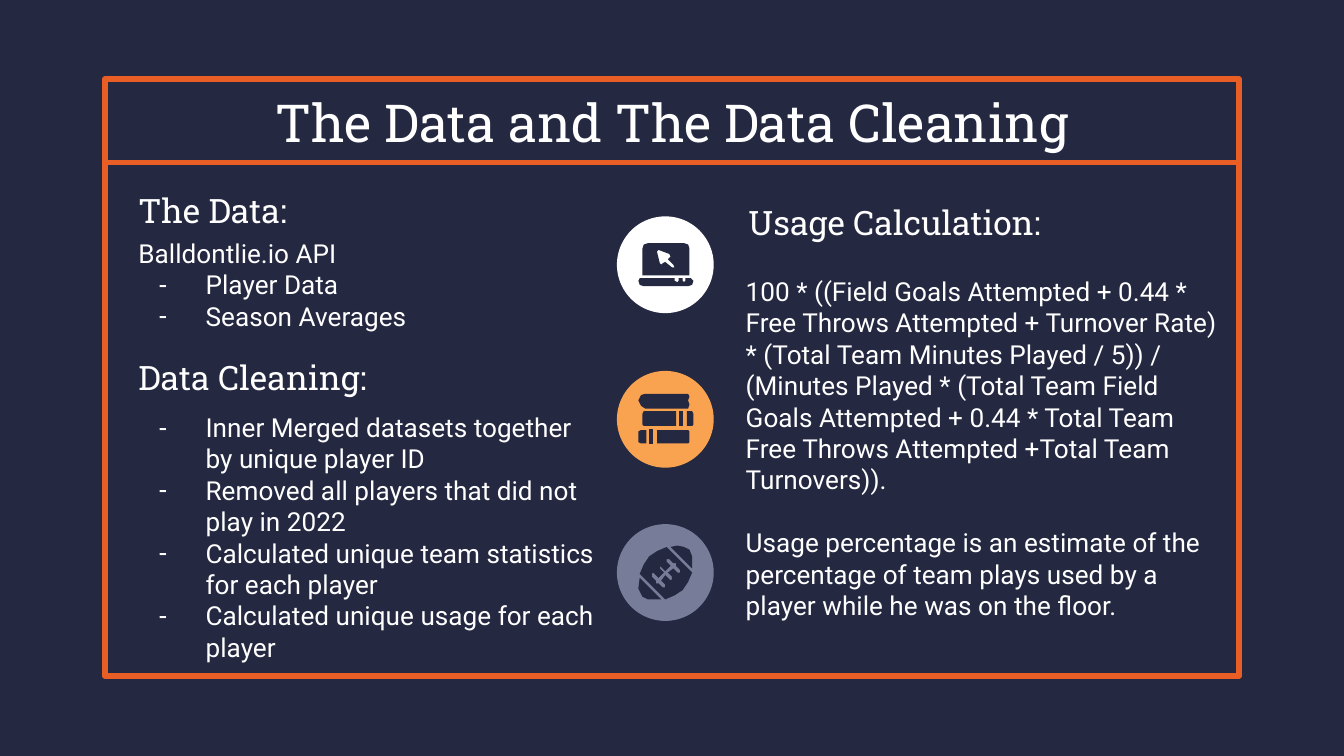
"""Build the slide on the data, its cleaning and the usage formula."""
import pptx
import pptx.dml.color
import pptx.enum.shapes
import pptx.enum.text
import pptx.oxml
import pptx.oxml.ns
import pptx.util

PX = 9144
THEME = {
    "navy": "242841", "orange": "E95E24", "white": "FFFFFF",
    "amber": "F9A350", "slate": "777D99",
    "title": ("Roboto Slab", 28), "head": ("Roboto Slab", 18),
    "body": ("Roboto", 14),
}


def paint(fill, name):
    fill.solid()
    fill.fore_color.rgb = pptx.dml.color.RGBColor.from_string(THEME[name])


def write(shape, box, style, lines, gap=0, after=0):
    shape.left, shape.top, shape.width, shape.height = [n * PX for n in box]
    frame = shape.text_frame
    frame.auto_size = pptx.enum.text.MSO_AUTO_SIZE.NONE
    frame.word_wrap = True
    frame.vertical_anchor = pptx.enum.text.MSO_ANCHOR.MIDDLE
    frame.margin_left = frame.margin_right = 10 * PX
    frame.margin_top = frame.margin_bottom = 10 * PX
    for i, line in enumerate(lines):
        para = frame.add_paragraph() if i else frame.paragraphs[0]
        center = style == "title"
        para.alignment = pptx.enum.text.PP_ALIGN.CENTER if center else pptx.enum.text.PP_ALIGN.LEFT
        para.line_spacing = 1.0
        para.space_before = pptx.util.Pt(gap if i else 0)
        para.space_after = pptx.util.Pt(after)
        listed = line.startswith("- ")
        props = para._p.get_or_add_pPr()
        props.set("marL", str(50 * PX if listed else 0))
        props.set("indent", str(-35 * PX if listed else 0))
        space = pptx.oxml.ns.nsdecls("a")
        marks = [f"<a:buNone {space}/>"]
        if listed:
            marks = [
                f'<a:buClr {space}><a:srgbClr val="{THEME["white"]}"/></a:buClr>',
                f'<a:buChar {space} char="-"/>',
            ]
        for mark in marks:
            props.append(pptx.oxml.parse_xml(mark))
        run = para.add_run()
        run.text = line.removeprefix("- ")
        name, size = THEME[style]
        run.font.name, run.font.size = name, pptx.util.Pt(size)
        run.font.bold = False
        paint(run.font.fill, "white")


deck = pptx.Presentation()
deck.slide_width = 1000 * PX
deck.slide_height = deck.slide_width * 9 // 16
slide = deck.slides.add_slide(deck.slide_layouts[4])
paint(slide.background.fill, "navy")
shapes = slide.shapes

frame = shapes.add_shape(pptx.enum.shapes.MSO_SHAPE.RECTANGLE, 78 * PX, 59 * PX, 844 * PX, 444 * PX)
frame.shadow.inherit = False
frame.fill.background()
rule = shapes.add_connector(pptx.enum.shapes.MSO_CONNECTOR.STRAIGHT, 80 * PX, 121 * PX, 920 * PX, 121 * PX)
rule._element.spPr.append(pptx.oxml.parse_xml(f"<a:effectLst {pptx.oxml.ns.nsdecls('a')}/>"))
for edge in (frame, rule):
    paint(edge.line.fill, "orange")
    edge.line.width = pptx.util.Pt(3)

hold = {item.placeholder_format.idx: item for item in slide.placeholders}
write(hold[0], (78, 59, 844, 63), "title", ["The Data and The Data Cleaning"])
write(hold[1], (93, 133, 366, 47), "head", ["The Data:"], after=12)
write(hold[2], (93, 180, 378, 63), "body", ["Balldontlie.io API", "- Player Data", "- Season Averages"])
write(hold[3], (93, 257, 366, 47), "head", ["Data Cleaning:"], after=12)
write(hold[4], (93, 304, 366, 191), "body", [
    "- Inner Merged datasets together by unique player ID",
    "- Removed all players that did not play in 2022",
    "- Calculated unique team statistics for each player",
    "- Calculated unique usage for each player",
])
write(shapes.add_textbox(0, 0, PX, PX), (547, 142, 366, 47), "head", ["Usage Calculation:"], after=12)
write(shapes.add_textbox(0, 0, PX, PX), (545, 180, 371, 307), "body", [
    "100 * ((Field Goals Attempted + 0.44 * Free Throws Attempted + Turnover Rate) "
    "* (Total Team Minutes Played / 5)) / (Minutes Played * (Total Team Field Goals "
    "Attempted + 0.44 * Total Team Free Throws Attempted +Total Team Turnovers)).",
    "Usage percentage is an estimate of the percentage of team plays used by a "
    "player while he was on the floor.",
], gap=17)

laptop = [
    [[(476, 207), (475, 209), (476, 212), (479, 213), (512, 213), (515, 212),
      (516, 209), (514, 207), (510, 207), (510, 209), (509, 210), (508, 209),
      (508, 207), (505, 207), (505, 209), (504, 210), (502, 209), (502, 207)]],
    [[(482, 181), (479, 182), (478, 185), (478, 205), (513, 205), (513, 185),
      (512, 182), (509, 181)],
     [(490, 186), (498, 189), (499, 191), (497, 193), (501, 197), (502, 199),
      (501, 199), (500, 199), (495, 195), (493, 196), (492, 197), (491, 196),
      (489, 188), (489, 187)]],
]
books = [
    [[(480, 293), (477, 294), (475, 298), (477, 302), (480, 304), (512, 304),
      (513, 301), (512, 298), (513, 295), (512, 293)]],
    [[(505, 306), (505, 317), (508, 317), (508, 306)]],
    [[(511, 306), (511, 317), (515, 317), (516, 316), (516, 308), (515, 306)]],
    [[(479, 306), (478, 308), (478, 316), (479, 317), (503, 317), (503, 306)]],
    [[(483, 319), (483, 330), (486, 330), (486, 319)]],
    [[(489, 320), (489, 330), (512, 330), (513, 329), (513, 321), (512, 320)]],
    [[(477, 320), (475, 321), (475, 329), (477, 330), (481, 330), (481, 320)]],
]
ball = [
    [[(504, 406), (499, 407), (515, 423), (515, 414), (513, 409), (509, 407)]],
    [[(476, 430), (475, 438), (478, 444), (482, 446), (487, 446), (492, 446)]],
    [[(496, 407), (489, 410), (483, 414), (479, 420), (476, 427),
      (495, 446), (502, 443), (508, 439), (512, 433), (515, 426)],
     [(497, 416), (498, 416), (501, 419), (502, 419), (503, 419), (503, 421),
      (506, 424), (506, 426), (505, 426), (504, 426), (501, 423), (497, 426),
      (500, 429), (500, 431), (499, 432), (498, 431), (495, 428), (492, 432),
      (495, 435), (495, 437), (494, 437), (493, 437), (490, 434), (489, 434),
      (488, 434), (488, 432), (485, 429), (485, 427), (486, 426), (487, 427),
      (490, 430), (494, 426), (491, 423), (491, 422), (492, 421), (492, 422),
      (495, 425), (499, 421), (496, 418), (496, 416)]],
]
for top, hue, icon in ((161, "white", laptop), (276, "amber", books), (390, "slate", ball)):
    disc = shapes.add_shape(pptx.enum.shapes.MSO_SHAPE.OVAL, 459 * PX, top * PX, 72 * PX, 72 * PX)
    disc.shadow.inherit = False
    disc.line.fill.background()
    paint(disc.fill, hue)
    group = shapes.add_group_shape()
    for part in icon:
        pen = group.shapes.build_freeform(*part[0][0], scale=PX)
        for i, loop in enumerate(part):
            if i:
                pen.move_to(*loop[0])
            pen.add_line_segments(loop[1:], close=True)
        piece = pen.convert_to_shape()
        piece.shadow.inherit = False
        piece.line.fill.background()
        paint(piece.fill, "navy")

deck.save("out.pptx")
